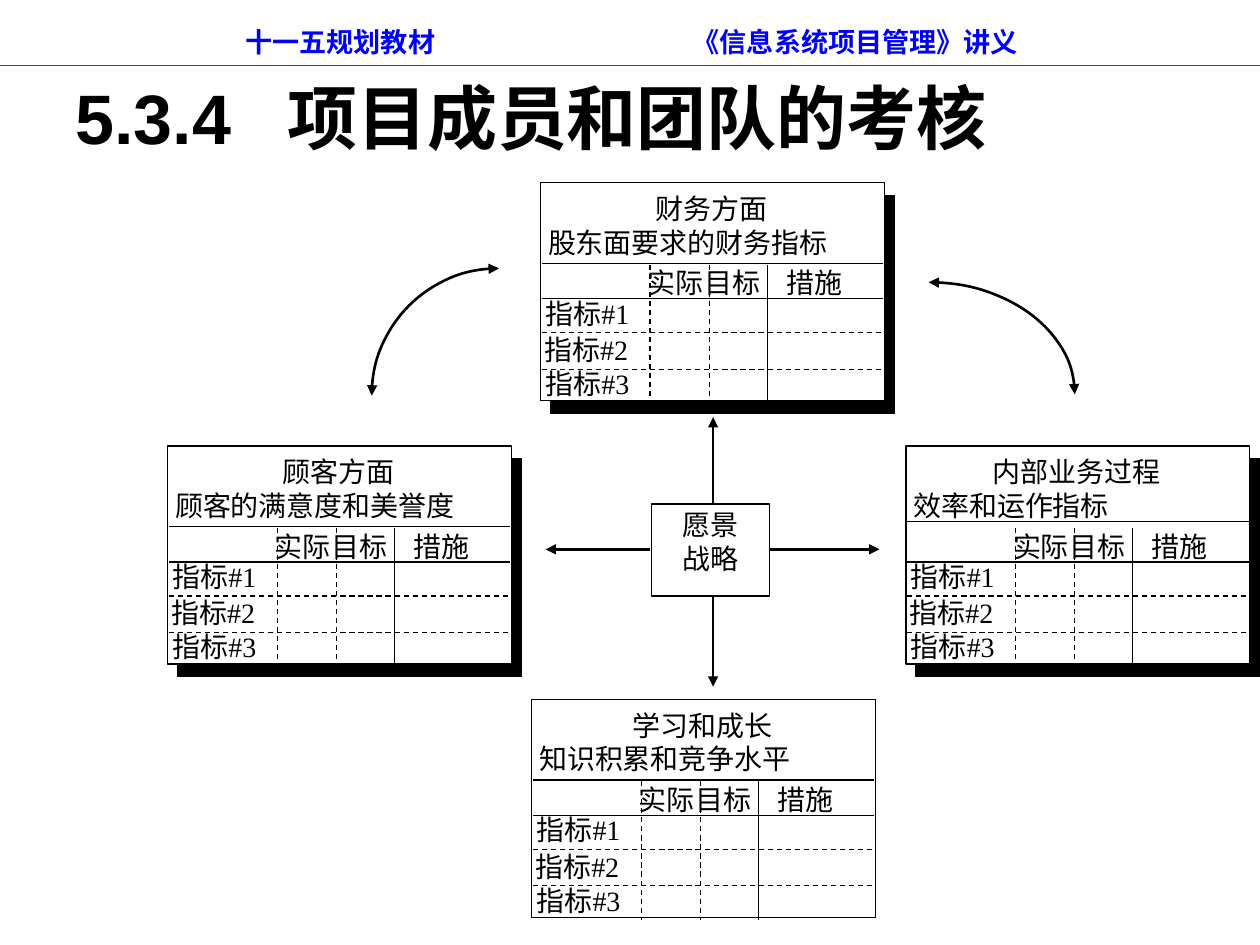
from lxml.etree import SubElement
from pptx import Presentation
from pptx.dml.color import RGBColor
from pptx.enum.dml import MSO_LINE
from pptx.enum.shapes import MSO_CONNECTOR, MSO_SHAPE
from pptx.enum.text import MSO_ANCHOR, MSO_AUTO_SIZE, PP_ALIGN
from pptx.oxml.ns import qn
from pptx.util import Inches, Pt

COLORS = {"black": "000000", "white": "FFFFFF", "blue": "0000FF", "purple": "9900CC"}
SERIF, SANS = "Times New Roman", "Noto Sans CJK SC"
CARD_WIDTH, CARD_HEIGHT = 2.73, 1.73


def write(shape, lines, size=16, font="Times New Roman", color="black", bold=False,
          margins=(0.06, 0.03), anchor=MSO_ANCHOR.TOP, tab=None):
    """Fill a shape with (text, alignment) lines; tab is a left tab stop in inches."""
    frame = shape.text_frame
    frame.word_wrap = True
    frame.auto_size = MSO_AUTO_SIZE.NONE
    frame.vertical_anchor = anchor
    frame.margin_left = frame.margin_right = Inches(margins[0])
    frame.margin_top = frame.margin_bottom = Inches(margins[1])
    for index, (text, alignment) in enumerate(lines):
        paragraph = frame.paragraphs[0] if index == 0 else frame.add_paragraph()
        paragraph.text = text
        paragraph.alignment = alignment
        if tab:
            tab_list = SubElement(paragraph._p.get_or_add_pPr(), qn("a:tabLst"))
            SubElement(tab_list, qn("a:tab"), pos=str(Inches(tab)), algn="l")
        paragraph.font.size = Pt(size)
        paragraph.font.name = font
        paragraph.font.bold = bold
        paragraph.font.color.rgb = RGBColor.from_string(COLORS[color])


def add_line(start, end, color="black", width=0.75, dashed=False, arrow=False):
    line = slide.shapes.add_connector(
        MSO_CONNECTOR.STRAIGHT, *(Inches(value) for value in (*start, *end)))
    line.line.color.rgb = RGBColor.from_string(COLORS[color])
    line.line.width = Pt(width)
    if dashed:
        line.line.dash_style = MSO_LINE.DASH
    if arrow:
        SubElement(line.line._get_or_add_ln(), qn("a:tailEnd"), type="triangle")
    SubElement(line._element.spPr, qn("a:effectLst"))


presentation = Presentation()
presentation.slide_width = Inches(10)
presentation.slide_height = Inches(7.5)
slide = presentation.slides.add_slide(presentation.slide_layouts[5])

# Title and running header
title = slide.shapes.title
title.left, title.top, title.width, title.height = (
    Inches(value) for value in (0.5, 0.3, 9, 1.25))
write(title, [("5.3.4\t项目成员和团队的考核", PP_ALIGN.LEFT)], size=40, font="Arial",
      bold=True, margins=(0.1, 0.05), anchor=MSO_ANCHOR.MIDDLE, tab=1.68)
add_line((0, 0.52), (10, 0.52), color="purple")
header = slide.shapes.add_textbox(Inches(1.85), Inches(0.14), Inches(7.6), Inches(0.38))
write(header, [("十一五规划教材\t《信息系统项目管理》讲义", PP_ALIGN.LEFT)], size=15.5,
      font="Arial", color="blue", bold=True, margins=(0.1, 0.05),
      anchor=MSO_ANCHOR.MIDDLE, tab=3.55)

# Scorecards: left, top, heading, description, height of first rule, has shadow
cards = [
    (4.29, 1.45, "财务方面", "股东面要求的财务指标", 0.64, True),
    (1.33, 3.54, "顾客方面", "顾客的满意度和美誉度", 0.64, True),
    (7.19, 3.54, "内部业务过程", "效率和运作指标", 0.60, True),
    (4.22, 5.55, "学习和成长", "知识积累和竞争水平", 0.64, False),
]
for left, top, heading, description, first_rule, has_shadow in cards:
    panels = [(0, 0, "white")]
    if has_shadow:
        panels.insert(0, (0.08, 0.1, "black"))
    for shift_x, shift_y, fill in panels:
        panel = slide.shapes.add_shape(
            MSO_SHAPE.RECTANGLE, Inches(left + shift_x), Inches(top + shift_y),
            Inches(CARD_WIDTH), Inches(CARD_HEIGHT))
        panel.shadow.inherit = False
        panel.fill.solid()
        panel.fill.fore_color.rgb = RGBColor.from_string(COLORS[fill])
        panel.line.color.rgb = RGBColor.from_string(COLORS["black"])
        panel.line.width = Pt(0.75)

    for offset, dashed in [(first_rule, False), (0.92, False), (1.19, True), (1.48, True)]:
        add_line((left + 0.01, top + offset), (left + 2.72, top + offset), dashed=dashed)
    for offset, dashed in [(0.87, True), (1.34, True), (1.8, False)]:
        add_line((left + offset, top + 0.65), (left + offset, top + 1.75), dashed=dashed)

    caption = slide.shapes.add_textbox(
        Inches(left), Inches(top + 0.04), Inches(2.71), Inches(0.73))
    write(caption, [(heading, PP_ALIGN.CENTER), (description, PP_ALIGN.JUSTIFY)])
    labels = [
        ("指标#1", -0.02, 0.87, 0.87, SERIF),
        ("指标#2", -0.03, 1.16, 0.87, SERIF),
        ("指标#3", -0.02, 1.43, 0.87, SERIF),
        ("实际", 0.79, 0.63, 0.68, SANS),
        ("目标", 1.24, 0.63, 0.66, SANS),
        ("措施", 1.89, 0.63, 0.87, SANS),
    ]
    for text, shift_x, shift_y, width, font in labels:
        label = slide.shapes.add_textbox(
            Inches(left + shift_x), Inches(top + shift_y), Inches(width), Inches(0.35))
        write(label, [(text, PP_ALIGN.JUSTIFY)], font=font)

# Vision and strategy in the centre, with arrows outwards
center = slide.shapes.add_shape(
    MSO_SHAPE.RECTANGLE, Inches(5.17), Inches(4), Inches(0.94), Inches(0.73))
center.shadow.inherit = False
center.fill.solid()
center.fill.fore_color.rgb = RGBColor.from_string(COLORS["white"])
center.line.color.rgb = RGBColor.from_string(COLORS["black"])
center.line.width = Pt(0.75)
write(center, [("愿景", PP_ALIGN.CENTER), ("战略", PP_ALIGN.CENTER)])
for start, end in [((5.66, 4), (5.66, 3.31)), ((5.66, 4.73), (5.66, 5.45)),
                   ((6.11, 4.36), (6.98, 4.36)), ((5.16, 4.36), (4.33, 4.36))]:
    add_line(start, end, width=1.5, arrow=True)

# Quarter arcs: centre, radii, start and end angle in degrees
for center_x, center_y, radius_x, radius_y, start, end in [
        (7.37, 3.13, 1.16, 0.89, 270, 0), (3.96, 3.14, 1.01, 1.01, 180, 270)]:
    arc = slide.shapes.add_shape(
        MSO_SHAPE.ARC, Inches(center_x - radius_x), Inches(center_y - radius_y),
        Inches(2 * radius_x), Inches(2 * radius_y))
    # An angle is stored in 60000ths of a degree, an adjustment in 100000ths
    arc.adjustments[0], arc.adjustments[1] = start * 0.6, end * 0.6
    arc.shadow.inherit = False
    arc.fill.background()
    arc.line.color.rgb = RGBColor.from_string(COLORS["black"])
    arc.line.width = Pt(1.5)
    for tag in ("a:headEnd", "a:tailEnd"):
        SubElement(arc.line._get_or_add_ln(), qn(tag), type="triangle")

presentation.save("out.pptx")
